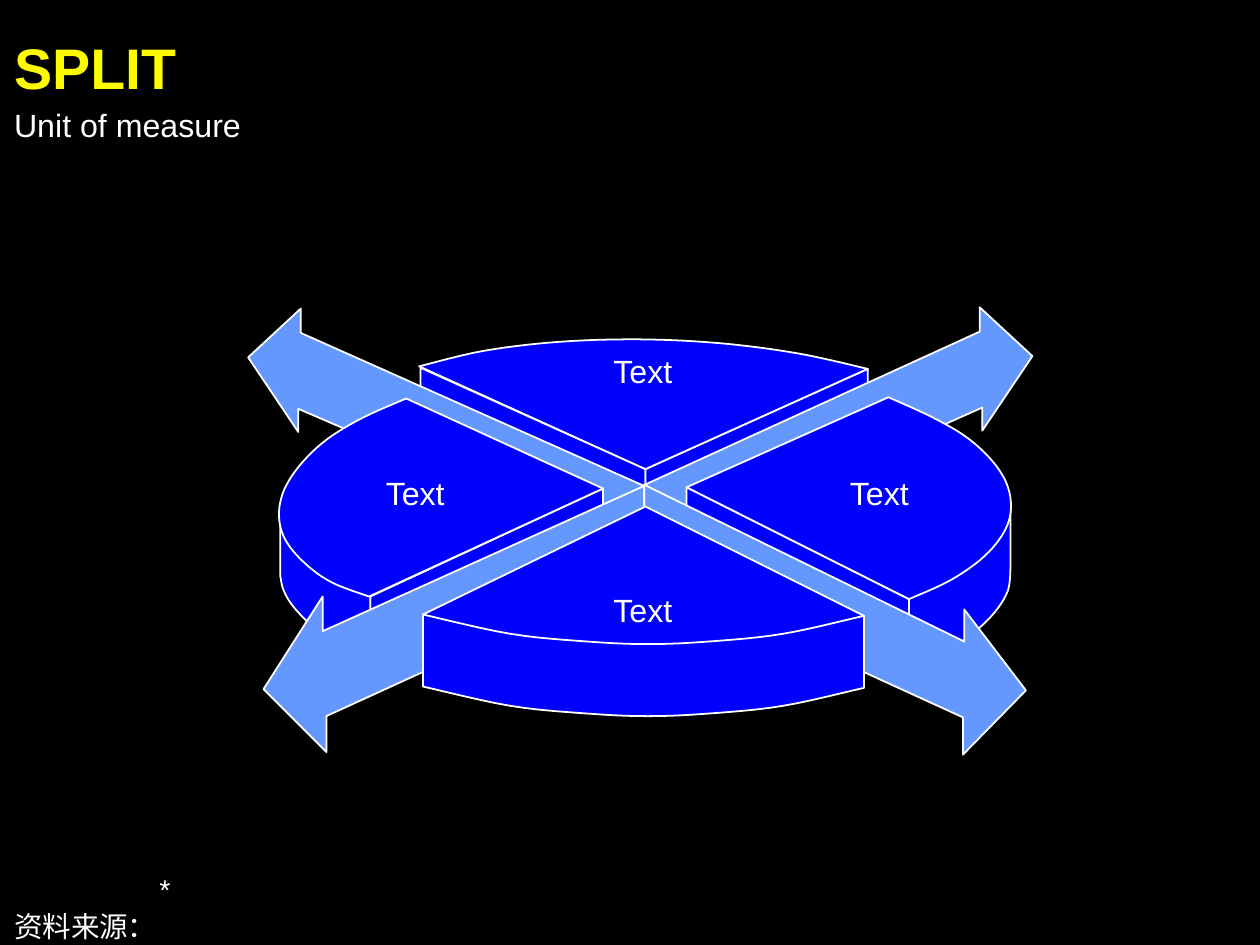
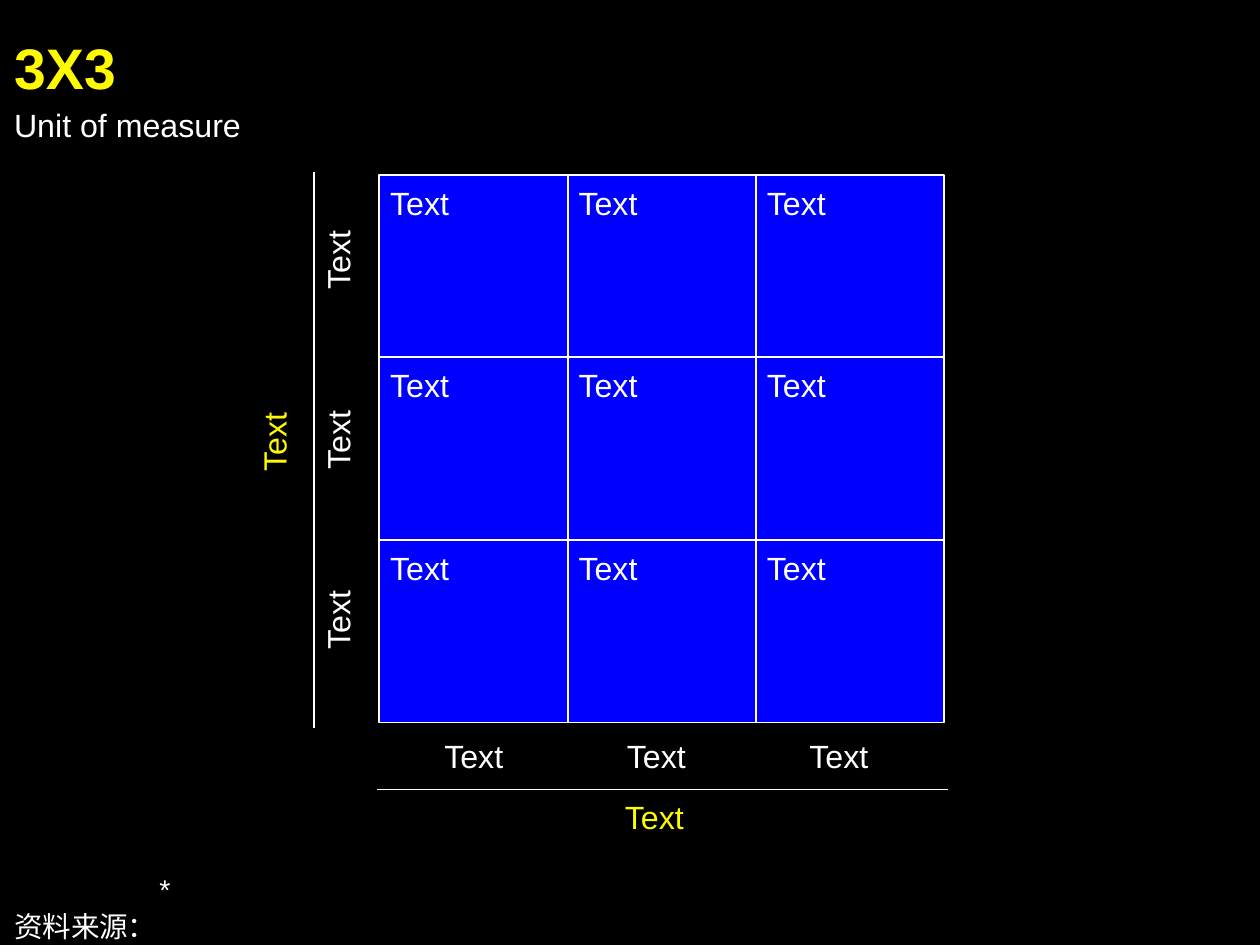
import itertools
from typing import NamedTuple

import pptx
import pptx.dml.color
import pptx.enum.shapes
import pptx.enum.text
import pptx.oxml.ns
import pptx.util
from lxml import etree

# Shared look; the slide is a grid of 98 columns, rows have the same pitch
HUES = {"back": "000000", "face": "0000FE", "arrow": "6598FF",
        "ink": "FFFFFF", "head": "FEFB00"}
FONT = "Arial"
WIDE, HIGH = pptx.util.Inches(9.8), pptx.util.Inches(7.35)
COLS = 98
LINE = 3  # height of one line of text, in rows
ALIGN = pptx.enum.text.PP_ALIGN
ANCHOR = pptx.enum.text.MSO_ANCHOR


class Part(NamedTuple):
    """An outline: a smooth arc through knots, then straight corners."""
    hue: str
    corners: list
    arc: list = []


class Label(NamedTuple):
    left: float
    top: float
    wide: float
    hue: str = "ink"
    turn: int = 0
    anchor: ANCHOR = ANCHOR.TOP


def grid(count: float) -> int:
    return round(count * WIDE / COLS)


def tint(hue: str) -> pptx.dml.color.RGBColor:
    return pptx.dml.color.RGBColor.from_string(HUES[hue])


def paint(shape, hue: str) -> None:
    shape.shadow.inherit = False
    shape.fill.solid()
    shape.fill.fore_color.rgb = tint(hue)
    shape.line.color.rgb = tint("ink")
    shape.line.width = pptx.util.Pt(1)


def write(shape, text: str, size: int = 18, hue: str = "ink", bold: bool = False,
          align=ALIGN.LEFT, anchor=ANCHOR.TOP, after: int = 0, hang: float = 0,
          stops: tuple = ()) -> None:
    frame = shape.text_frame
    frame.margin_left = frame.margin_right = 0
    frame.margin_top = frame.margin_bottom = 0
    frame.word_wrap = True
    frame.auto_size = pptx.enum.text.MSO_AUTO_SIZE.SHAPE_TO_FIT_TEXT
    frame.vertical_anchor = anchor
    for index, words in enumerate(text.split("\n")):
        para = frame.add_paragraph() if index else frame.paragraphs[0]
        para.add_run().text = words
        para.alignment = align
        para.space_after = pptx.util.Pt(after)
        props = para._p.get_or_add_pPr()
        if hang:
            props.set("marL", str(grid(hang)))
            props.set("indent", str(-grid(hang)))
        if stops:
            tabs = etree.SubElement(props, pptx.oxml.ns.qn("a:tabLst"))
            for place, side in stops:
                etree.SubElement(tabs, pptx.oxml.ns.qn("a:tab"),
                                 pos=str(grid(place)), algn=side)
        font = para.runs[0].font
        font.name, font.size, font.bold = FONT, pptx.util.Pt(size), bold
        font.color.rgb = tint(hue)


def box(slide, left: float, top: float, wide: float, high: float = LINE):
    return slide.shapes.add_textbox(*map(grid, (left, top, wide, high)))


def label(slide, item: Label, align=ALIGN.CENTER) -> None:
    shape = box(slide, item.left, item.top, item.wide)
    shape.rotation = item.turn
    write(shape, "Text", hue=item.hue, align=align, anchor=item.anchor)


def rule(slide, *ends: float) -> None:
    line = slide.shapes.add_connector(
        pptx.enum.shapes.MSO_CONNECTOR.STRAIGHT, *map(grid, ends))
    line.line.color.rgb = tint("ink")
    line.line.width = pptx.util.Pt(1)
    etree.SubElement(line._element.spPr, pptx.oxml.ns.qn("a:effectLst"))


def curve(knots: list, steps: int = 6) -> list:
    """Points of a Catmull-Rom spline through the knots."""
    if not knots:
        return []
    full = [knots[0], *knots, knots[-1]]
    points = []
    for quad in zip(full, full[1:], full[2:], full[3:]):
        for step in range(steps):
            t = step / steps
            points.append(tuple(
                b + t * (c - a) / 2 + t * t * (2 * a - 5 * b + 4 * c - d) / 2
                + t ** 3 * (3 * b - a - 3 * c + d) / 2
                for a, b, c, d in zip(*quad)))
    return points + [knots[-1]]


def draw(slide, part: Part) -> None:
    points = [(grid(x), grid(y)) for x, y in curve(part.arc) + part.corners]
    path = slide.shapes.build_freeform(*points[0], scale=1.0)
    path.add_line_segments(points[1:], close=True)
    paint(path.convert_to_shape(), part.hue)


def start(deck, title: str):
    """Add a slide with the title, subtitle and source note."""
    slide = deck.slides.add_slide(deck.slide_layouts[5])
    head = slide.shapes.title
    head.left, head.top, head.width, head.height = map(grid, (1.1, 2.5, 95.1, 5.3))
    write(head, title, size=32, hue="head", bold=True)
    write(box(slide, 1.1, 8.2, 72.4), "Unit of measure")
    write(box(slide, 1.1, 67.8, 94.2, 5.6), "\t*\n资料来源：", size=16,
          anchor=ANCHOR.BOTTOM, after=2, hang=11.3,
          stops=((0, "l"), (9.8, "r")))
    return slide


# Split disc, from back to front
RIM = [(32.9, 47.8), (39.7, 49.3), (45.7, 49.9), (50.4, 50.1),
       (55.1, 49.9), (60.9, 49.3), (67.2, 47.9)]
DEPTH = 5.6
DISC = [
    # Back quarter
    Part("face", [(50.2, 36.5)],
         [(67.5, 28.7), (62.1, 27.5), (56, 26.7), (49.7, 26.4),
          (43.4, 26.6), (37.6, 27.3), (32.6, 28.5)]),
    Part("face", [(50.2, 36.5), (50.2, 40.5), (32.7, 32.7), (32.7, 28.6)]),
    Part("face", [(50.2, 36.5), (50.2, 40.5), (67.5, 32.9), (67.5, 28.7)]),
    Part("arrow", [(76.2, 25.8), (25, 49.2), (23.8, 55.2), (76.4, 31.7),
                   (76.4, 33.5), (80.3, 27.7), (76.2, 23.9)]),
    # Right quarter
    Part("face", [(53.4, 37.9), (70.7, 46.6), (70.7, 51.8), (53.4, 42)]),
    Part("face", [(70.7, 46.6), (78.6, 39.6)],
         [(78.6, 43.9), (78.4, 45.9), (77.3, 47.7), (75.5, 49.4),
          (73.7, 50.5), (70.7, 51.8)]),
    Part("face", [(53.4, 37.9)],
         [(70.7, 46.6), (73.8, 45.2), (76.3, 43.5), (77.9, 41.7), (78.6, 39.9),
          (78.4, 37.9), (77.3, 36), (75.3, 34.1), (72.6, 32.5), (69.1, 30.9)]),
    Part("arrow", [(50.2, 44.5), (74.9, 55.8), (74.9, 58.7), (79.8, 53.7),
                   (75, 47.4), (75, 49.9), (50.1, 37.7)]),
    Part("arrow", [(50.1, 43.4), (50.1, 37.8), (23.4, 25.9), (23.4, 24),
                   (19.3, 27.8), (23.2, 33.6), (23.2, 31.8)]),
    # Left quarter
    Part("face", [(46.9, 38), (28.8, 46.4), (28.8, 50.8), (46.9, 42.1)]),
    Part("face", [(28.8, 46.2), (21.8, 40.1)],
         [(21.8, 44.8), (22.1, 46), (23, 47.4), (25.1, 49.4), (28.8, 51.8)]),
    Part("face", [(46.9, 38)],
         [(28.7, 46.4), (25.8, 45.3), (23.7, 43.8), (22.2, 42), (21.7, 40.1),
          (22.1, 38.1), (23.4, 36.1), (25.4, 34.2), (28.2, 32.5), (31.6, 31)]),
    Part("arrow", [(50.1, 44.4), (25.4, 55.7), (25.4, 58.5), (20.5, 53.6),
                   (25.1, 46.4), (25.1, 49.1), (50.1, 37.8)]),
    # Front quarter
    Part("face", [RIM[-1], RIM[0]], [(x, y + DEPTH) for x, y in RIM]),
    Part("face", [(50.2, 39.4)], RIM),
]
NAMES = [
    Label(42.5, 27.3, 15),
    Label(60.9, 36.8, 15, anchor=ANCHOR.MIDDLE),
    Label(42.5, 45.9, 15, anchor=ANCHOR.BOTTOM),
    Label(24.8, 36.8, 15, anchor=ANCHOR.MIDDLE),
]


def split(deck) -> None:
    slide = start(deck, "SPLIT")
    for part in DISC:
        draw(slide, part)
    for item in NAMES:
        label(slide, item)


def matrix(deck) -> None:
    slide = start(deck, "3X3")
    count, left, top, wide, high = 3, 29.5, 13.6, 14.65, 14.2
    # Cells
    for row, col in itertools.product(range(count), repeat=2):
        x, y = left + col * wide, top + row * high
        cell = slide.shapes.add_shape(pptx.enum.shapes.MSO_SHAPE.RECTANGLE,
                                      *map(grid, (x, y, wide, high)))
        paint(cell, "face")
        label(slide, Label(x + 0.85, y + 0.65, 11.7), align=ALIGN.LEFT)
    # Axes
    rule(slide, 29.3, 61.4, 73.7, 61.4)
    rule(slide, 24.4, 13.4, 24.4, 56.6)
    for step in range(count):
        label(slide, Label(31 + 14.2 * step, 57.3, 11.7))
        label(slide, Label(20.4, 18.7 + 14 * step, 11.7, turn=270))
    label(slide, Label(33, 62, 35.8, "head"))
    label(slide, Label(1.6, 32.9, 39.4, "head", 270))


def main() -> None:
    deck = pptx.Presentation()
    deck.slide_width, deck.slide_height = WIDE, HIGH
    fill = deck.slide_master.background.fill
    fill.solid()
    fill.fore_color.rgb = tint("back")
    split(deck)
    matrix(deck)
    deck.save("out.pptx")


if __name__ == "__main__":
    main()
